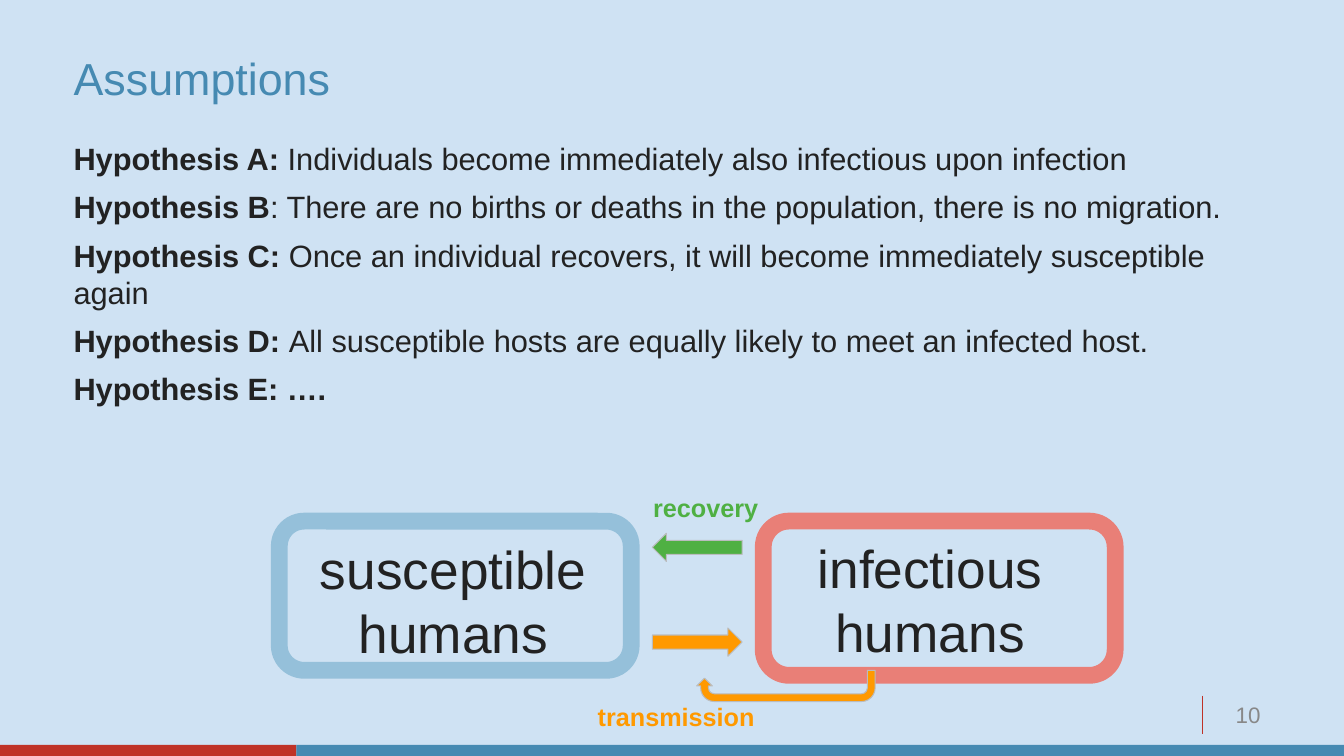
from lxml import etree
from pptx import Presentation
from pptx.dml.color import RGBColor
from pptx.enum import shapes, text
from pptx.oxml.ns import qn
from pptx.util import Inches, Pt

PALE_BLUE = RGBColor(0xCF, 0xE2, 0xF3)
BLUE = RGBColor(0x46, 0x8A, 0xB2)
RED = RGBColor(0xBF, 0x32, 0x27)
DARK = RGBColor(0x22, 0x22, 0x22)
GRAY = RGBColor(0x88, 0x88, 0x88)
OUTLINE = RGBColor(0xBA, 0xBC, 0xBE)
LIGHT_BLUE = RGBColor(0x95, 0xC0, 0xDA)
PINK = RGBColor(0xE9, 0x7F, 0x77)
GREEN = RGBColor(0x4F, 0xB0, 0x43)
ORANGE = RGBColor(0xFF, 0x99, 0x00)
LEFT, CENTER, RIGHT = text.PP_ALIGN.LEFT, text.PP_ALIGN.CENTER, text.PP_ALIGN.RIGHT
TOP, MIDDLE = text.MSO_ANCHOR.TOP, text.MSO_ANCHOR.MIDDLE
SHAPE = shapes.MSO_SHAPE

presentation = Presentation()
presentation.slide_width, presentation.slide_height = Inches(13.33), Inches(7.5)
slide = presentation.slides.add_slide(presentation.slide_layouts[5])
slide.background.fill.solid()
slide.background.fill.fore_color.rgb = PALE_BLUE


def write(box, position, paragraphs, size, color, align=LEFT, anchor=TOP,
          insets=(0.1, 0.1, 0.1, 0.1), spacing=None, before=0):
    """Place a text shape; each paragraph is a list of (words, bold) runs."""
    box.left, box.top, box.width, box.height = map(Inches, position)
    frame = box.text_frame
    frame.word_wrap = True
    frame.auto_size = text.MSO_AUTO_SIZE.NONE
    frame.vertical_anchor = anchor
    (frame.margin_left, frame.margin_top,
     frame.margin_right, frame.margin_bottom) = map(Inches, insets)
    for index, runs in enumerate(paragraphs):
        paragraph = frame.add_paragraph() if index else frame.paragraphs[0]
        paragraph.alignment = align
        paragraph.line_spacing = spacing
        paragraph.space_before = Pt(before if index else 0)
        for words, bold in runs:
            run = paragraph.add_run()
            run.text = words
            run.font.name, run.font.size, run.font.bold = "Arial", Pt(size), bold
            run.font.color.rgb = color


def draw(kind, position, fill=None, line=None, width=0.75):
    """Add a preset shape with an optional fill and outline."""
    shape = slide.shapes.add_shape(kind, *map(Inches, position))
    shape.shadow.inherit = False
    for paint, color in ((shape.fill, fill), (shape.line.fill, line)):
        if color is None:
            paint.background()
        else:
            paint.solid()
            paint.fore_color.rgb = color
    if line is not None:
        shape.line.width = Pt(width)
    return shape


# Footer: two-colour band, divider and page number
draw(SHAPE.RECTANGLE, (0, 7.39, 2.94, 0.11), RED)
draw(SHAPE.RECTANGLE, (2.94, 7.39, 10.39, 0.11), BLUE)
divider = slide.shapes.add_connector(
    shapes.MSO_CONNECTOR.STRAIGHT,
    Inches(11.93), Inches(6.9), Inches(11.93), Inches(7.28))
divider.line.color.rgb = RED
divider.line.width = Pt(0.75)
etree.SubElement(divider._element.spPr, qn("a:effectLst"))
write(slide.shapes.add_textbox(0, 0, 0, 0), (11.92, 6.9, 0.68, 0.4),
      [[("10", False)]], 16, GRAY, RIGHT, MIDDLE, (0.1, 0.05, 0.1, 0.05), 0.93)

# Title and hypotheses
write(slide.shapes.title, (0.73, 0.4, 11.87, 0.81), [[("Assumptions", False)]],
      32, BLUE, LEFT, MIDDLE, (0, 0.05, 0.1, 0.05), 0.9)
hypotheses = [
    [("Hypothesis A:", True),
     (" Individuals become immediately also infectious upon infection", False)],
    [("Hypothesis B", True),
     (": There are no births or deaths in the population, there is no migration.", False)],
    [("Hypothesis C: ", True),
     ("Once an individual recovers, it will become immediately susceptible again", False)],
    [("Hypothesis D: ", True),
     ("All susceptible hosts are equally likely to meet an infected host.", False)],
    [("Hypothesis E: ….", True)],
]
write(slide.shapes.add_textbox(0, 0, 0, 0), (0.73, 1.34, 11.87, 5.4), hypotheses,
      22, DARK, insets=(0, 0.05, 0.1, 0.05), before=8)

# Compartments
compartments = [
    ((2.77, 5.17, 3.49, 1.48), LIGHT_BLUE, (2.94, 5.22, 3.11, 1.48),
     [[("susceptible humans", False)]]),
    ((7.57, 5.17, 3.49, 1.53), PINK, (7.67, 5.21, 3.11, 1.48),
     [[("infectious", False)], [("humans", False)]]),
]
for frame_position, color, label_position, label in compartments:
    draw(SHAPE.ROUNDED_RECTANGLE, frame_position, line=color, width=12)
    write(slide.shapes.add_textbox(0, 0, 0, 0), label_position, label, 38, DARK, CENTER)

# Flows between the compartments
draw(SHAPE.RIGHT_ARROW, (6.47, 6.23, 0.89, 0.28), ORANGE, OUTLINE)
draw(SHAPE.LEFT_ARROW, (6.47, 5.29, 0.89, 0.28), GREEN, OUTLINE)
feedback = draw(SHAPE.U_TURN_ARROW, (6.91, 6.65, 1.77, 0.31), ORANGE, OUTLINE)
feedback.rotation = 180
for index, value in enumerate((0.25, 0.25, 0.25, 0.44, 0.75)):
    feedback.adjustments[index] = value

# Flow labels
for words, color, position in (("recovery", GREEN, (6.38, 4.78, 1.3, 0.5)),
                               ("transmission", ORANGE, (5.83, 6.86, 1.94, 0.5))):
    write(slide.shapes.add_textbox(0, 0, 0, 0), position, [[(words, True)]], 18, color)

presentation.save("out.pptx")
